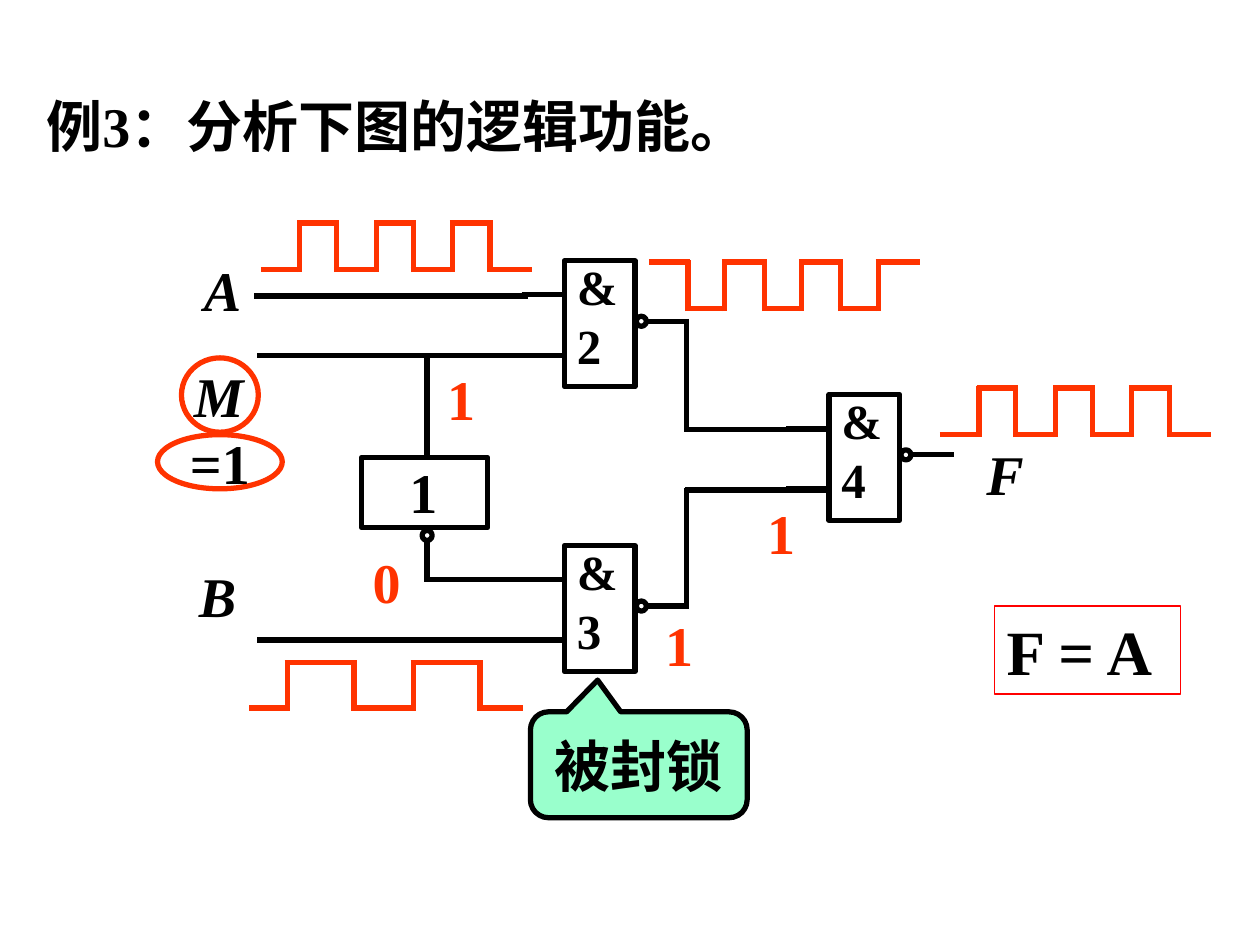
from dataclasses import dataclass
from itertools import pairwise
from typing import Optional

from lxml import etree
from pptx import Presentation
from pptx.dml.color import RGBColor
from pptx.enum.shapes import MSO_CONNECTOR, MSO_SHAPE
from pptx.enum.text import MSO_ANCHOR, MSO_AUTO_SIZE, PP_ALIGN
from pptx.oxml.ns import qn
from pptx.util import Inches, Pt

STRAIGHT = MSO_CONNECTOR.STRAIGHT
RECTANGLE = MSO_SHAPE.RECTANGLE
OVAL = MSO_SHAPE.OVAL
CALLOUT = MSO_SHAPE.ROUNDED_RECTANGULAR_CALLOUT
TOP, MIDDLE = MSO_ANCHOR.TOP, MSO_ANCHOR.MIDDLE
GROW, FIXED = MSO_AUTO_SIZE.SHAPE_TO_FIT_TEXT, MSO_AUTO_SIZE.NONE
LEFT, CENTER = PP_ALIGN.LEFT, PP_ALIGN.CENTER

BLACK = RGBColor(0x00, 0x00, 0x00)
ORANGE = RGBColor(0xFF, 0x33, 0x00)
RED = RGBColor(0xFF, 0x00, 0x00)
MINT = RGBColor(0x99, 0xFF, 0xCC)

FONT = "Times New Roman"
STROKE = 3
OVERLAP = 0.02
THREE_PULSES = (0.31, 0.6, 0.92, 1.21, 1.52, 1.82, 2.13)
TWO_PULSES = (0.3, 0.83, 1.3, 1.83, 2.15)


@dataclass
class Wave:
    left: float
    rest: float
    active: float
    edges: tuple[float, ...]


@dataclass
class Gate:
    left: float
    top: float
    label: str


@dataclass
class Label:
    left: float
    top: float
    width: float
    text: str
    color: RGBColor = BLACK
    italic: bool = False
    size: float = 32
    height: float = 0.64


WAVES = [
    Wave(2.07, 2.14, 1.77, THREE_PULSES),
    Wave(1.98, 5.62, 5.26, TWO_PULSES),
    Wave(5.15, 2.08, 2.45, THREE_PULSES),
    Wave(7.46, 3.45, 3.08, THREE_PULSES),
]
GATES = [
    Gate(4.48, 2.07, "&2"),
    Gate(4.48, 4.33, "&3"),
    Gate(6.58, 3.13, "&4"),
]
WIRES = [
    (2.02, 2.35, 4.19, 2.35),
    (2.04, 2.82, 4.36, 2.82),
    (2.04, 5.08, 4.21, 5.08),
    (3.39, 2.82, 3.39, 3.64),
    (3.39, 4.29, 3.39, 4.62),
    (3.4, 4.6, 4.4, 4.6),
    (5.45, 2.53, 5.45, 3.42),
    (5.43, 3.41, 6.56, 3.41),
    (5.45, 4.83, 5.45, 3.87),
    (5.44, 3.89, 6.57, 3.89),
]
LABELS = [
    Label(0.27, 0.68, 5.98, "例3：分析下图的逻辑功能。", height=1.17),
    Label(2.86, 4.3, 0.54, "0", ORANGE),
    Label(5.18, 4.8, 0.54, "1", ORANGE),
    Label(5.99, 3.91, 0.54, "1", ORANGE),
    Label(3.45, 2.84, 0.54, "1", ORANGE),
    Label(1.52, 1.98, 0.46, "A", italic=True),
    Label(1.44, 2.82, 0.85, "M", italic=True),
    Label(1.48, 4.41, 0.85, "B", italic=True),
    Label(3.15, 3.58, 0.85, "1"),
    Label(7.73, 3.44, 0.71, "F", italic=True),
]


def write_text(box, text: str, size: float = 32, color: RGBColor = BLACK,
               italic: bool = False, centered: bool = False) -> None:
    frame = box.text_frame
    frame_format = {
        "word_wrap": not centered,
        "auto_size": FIXED if centered else GROW,
        "vertical_anchor": MIDDLE if centered else TOP,
    }
    for name, value in frame_format.items():
        setattr(frame, name, value)
    para = frame.paragraphs[0]
    para.alignment = CENTER if centered else LEFT
    span = para.add_run()
    span.text = text
    span_format = {"name": FONT, "size": Pt(size), "bold": True, "italic": italic}
    for name, value in span_format.items():
        setattr(span.font, name, value)
    span.font.color.rgb = color


def draw_label(page, label: Label) -> None:
    box = page.shapes.add_textbox(Inches(label.left), Inches(label.top),
                                  Inches(label.width), Inches(label.height))
    write_text(box, label.text, label.size, label.color, label.italic)


def draw_shape(page, kind, left: float, top: float, width: float, height: float,
               color: RGBColor = BLACK, weight: float = STROKE,
               fill: Optional[RGBColor] = None):
    shape = page.shapes.add_shape(kind, Inches(left), Inches(top),
                                  Inches(width), Inches(height))
    shape.shadow.inherit = False
    if fill is None:
        shape.fill.background()
    else:
        shape.fill.solid()
        shape.fill.fore_color.rgb = fill
    shape.line.color.rgb = color
    shape.line.width = Pt(weight)
    return shape


def draw_line(page, x1: float, y1: float, x2: float, y2: float,
              color: RGBColor = BLACK) -> None:
    line = page.shapes.add_connector(STRAIGHT, Inches(x1), Inches(y1),
                                     Inches(x2), Inches(y2))
    line.line.color.rgb = color
    line.line.width = Pt(STROKE)
    etree.SubElement(line._element.spPr, qn("a:effectLst"))


def draw_wave(page, wave: Wave) -> None:
    low, high = max(wave.rest, wave.active), min(wave.rest, wave.active)
    for step, (start, end) in enumerate(pairwise((0, *wave.edges))):
        level = wave.active if step % 2 else wave.rest
        x1, x2 = wave.left + start, wave.left + end
        lead = OVERLAP if step else 0
        draw_line(page, x1 - lead, level, x2 + OVERLAP, level, ORANGE)
        if step:
            draw_line(page, x1, low + OVERLAP, x1, high - OVERLAP, ORANGE)


def draw_gate(page, gate: Gate) -> None:
    left, top = gate.left, gate.top
    draw_shape(page, RECTANGLE, left, top, 0.56, 1)
    draw_label(page, Label(left, top - 0.08, 0.67, gate.label, size=28, height=1.04))
    draw_shape(page, OVAL, left + 0.57, top + 0.44, 0.08, 0.08)
    draw_line(page, left + 0.66, top + 0.48, left + 0.99, top + 0.48)
    for drop in (0.27, 0.75):
        draw_line(page, left - 0.34, top + drop, left - 0.01, top + drop)


def main() -> None:
    deck = Presentation()
    deck.slide_width, deck.slide_height = Inches(10), Inches(7.5)
    page = deck.slides.add_slide(deck.slide_layouts[6])

    for wave in WAVES:
        draw_wave(page, wave)
    draw_shape(page, OVAL, 1.44, 2.84, 0.61, 0.59, ORANGE)
    condition = draw_shape(page, OVAL, 1.25, 3.45, 0.99, 0.43, ORANGE)
    write_text(condition, "=1", centered=True)

    blocked = draw_shape(page, CALLOUT, 4.21, 5.65, 1.72, 0.84, fill=MINT)
    for index, value in enumerate((-0.19, -0.8, 0.17)):
        blocked.adjustments[index] = value
    write_text(blocked, "被封锁", centered=True)

    result = draw_shape(page, RECTANGLE, 7.89, 4.81, 1.48, 0.7, RED, 0.75)
    write_text(result, "F = A", 36)

    for gate in GATES:
        draw_gate(page, gate)
    draw_shape(page, RECTANGLE, 2.87, 3.63, 1, 0.56)
    draw_shape(page, OVAL, 3.35, 4.21, 0.08, 0.08)
    for wire in WIRES:
        draw_line(page, *wire)
    for label in LABELS:
        draw_label(page, label)

    deck.save("out.pptx")


if __name__ == "__main__":
    main()
